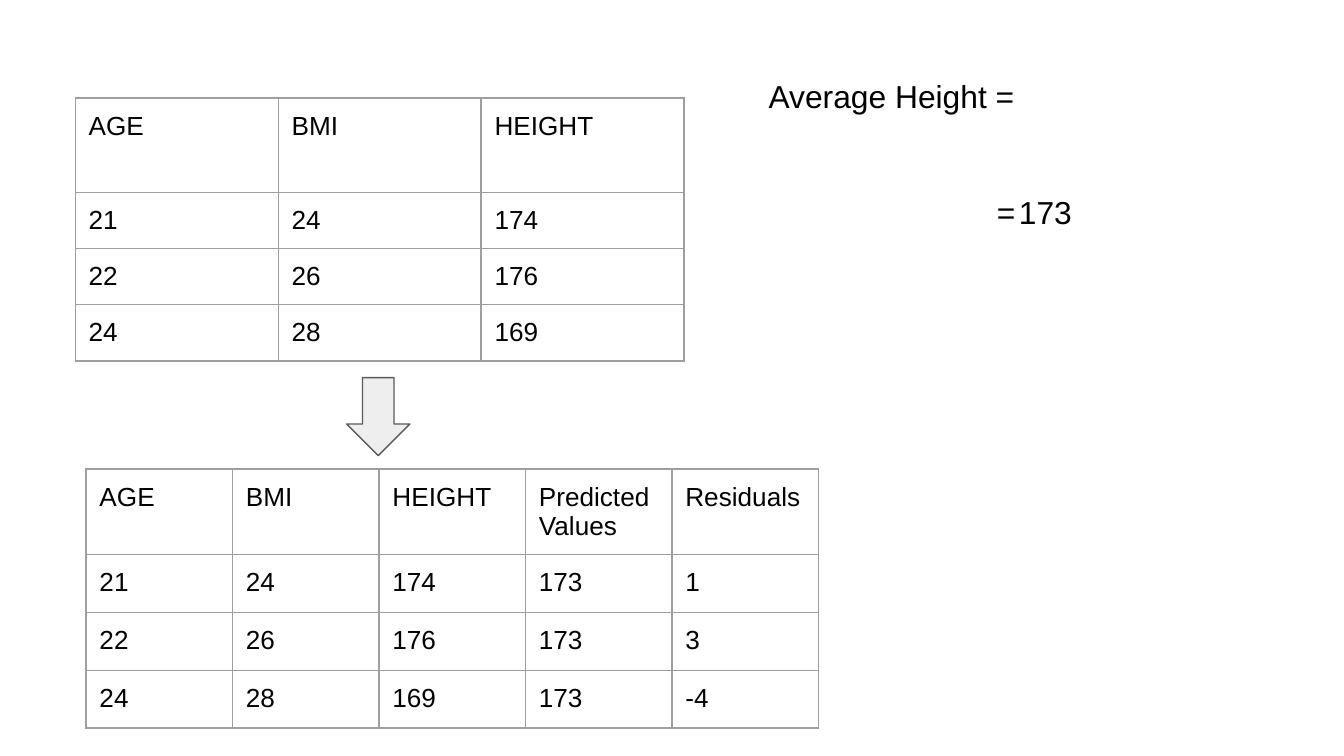
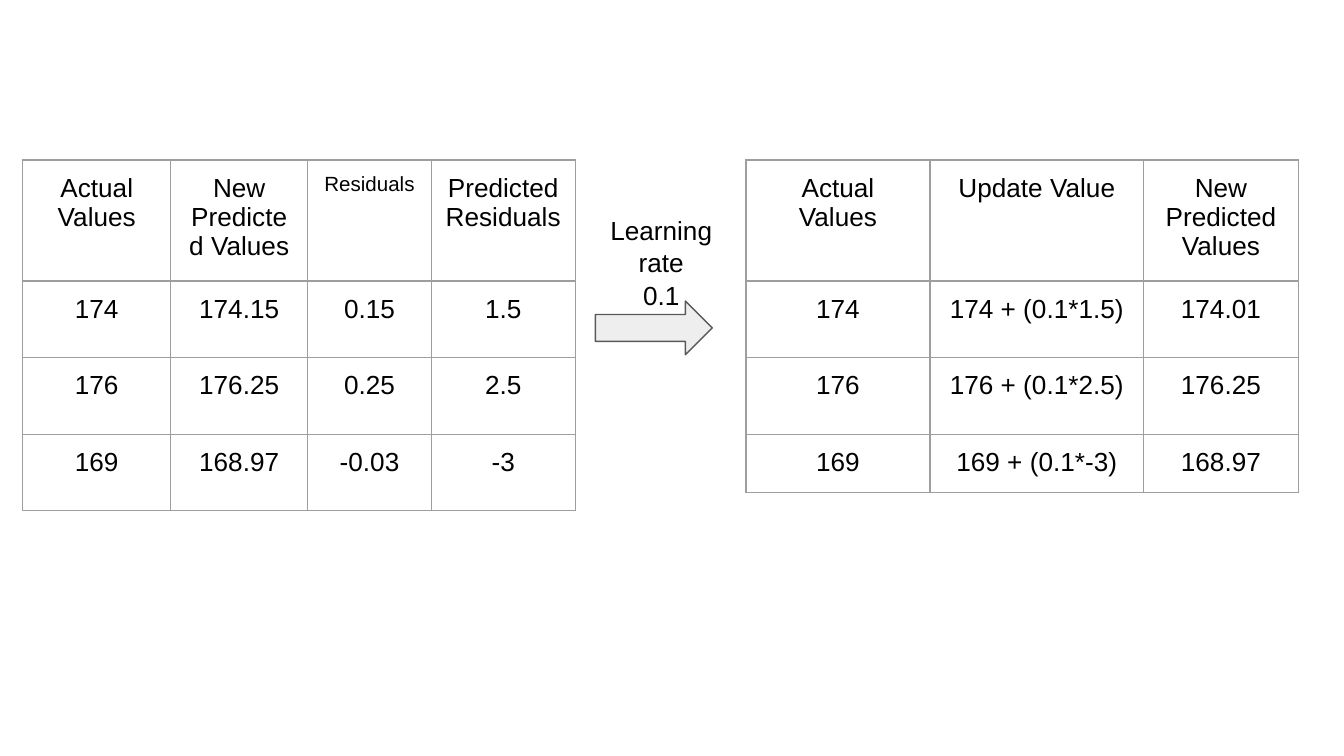
from lxml.etree import SubElement
from pptx import Presentation
from pptx.dml.color import RGBColor
from pptx.enum.shapes import MSO_SHAPE
from pptx.enum.text import PP_ALIGN
from pptx.oxml.ns import qn
from pptx.util import Pt

# Shared look: 100 px to the inch
PX = 9144
MARGIN = 10 * PX
FONT = "Arial"
BODY_SIZE = 14
COLORS = {"text": "000000", "border": "9E9E9E", "arrow": "EEEEEE", "outline": "595959"}


def write_text(frame, lines, size=BODY_SIZE, align=PP_ALIGN.LEFT):
    """Set the margins and write one paragraph per line."""
    frame.margin_left = frame.margin_right = MARGIN
    frame.margin_top = frame.margin_bottom = MARGIN
    frame.word_wrap = True
    for index, line in enumerate(lines):
        para = frame.add_paragraph() if index else frame.paragraphs[0]
        para.alignment = align
        span = para.add_run()
        span.text = line
        span.font.name = FONT
        span.font.size = Pt(size)
        span.font.color.rgb = RGBColor.from_string(COLORS["text"])


def add_grid(page, left, top, widths, heights, rows, align, small=()):
    """Add a plain table with thin borders; words in small are set smaller."""
    frame = page.shapes.add_table(len(rows), len(widths), left * PX, top * PX,
                                  sum(widths) * PX, sum(heights) * PX)
    table = frame.table
    table.first_row = table.horz_banding = False
    for column, width in zip(table.columns, widths):
        column.width = width * PX
    for row, height, values in zip(table.rows, heights, rows):
        row.height = height * PX
        for cell, value in zip(row.cells, values):
            write_text(cell.text_frame, value.split("\n"),
                       11 if value in small else BODY_SIZE, align)
            cell.margin_left = cell.margin_right = MARGIN
            cell.margin_top = cell.margin_bottom = MARGIN
            properties = cell._tc.get_or_add_tcPr()
            for side in ("a:lnL", "a:lnR", "a:lnT", "a:lnB"):
                line = SubElement(properties, qn(side), w=str(Pt(0.75)))
                fill = SubElement(line, qn("a:solidFill"))
                SubElement(fill, qn("a:srgbClr"), val=COLORS["border"])
            cell.fill.background()


deck = Presentation()
deck.slide_width = 1000 * PX
deck.slide_height = deck.slide_width * 9 // 16
residual_page, update_page = [deck.slides.add_slide(deck.slide_layouts[6]) for _ in range(2)]

# Slide 1: the data, then the data with predictions and residuals
people = [("21", "24", "174"), ("22", "26", "176"), ("24", "28", "169")]
headings = ("AGE", "BMI", "HEIGHT")
average = "173"
residuals = ("1", "3", "-4")

add_grid(residual_page, 56, 73, [151] * 3, [70] + [40] * 3,
         [headings, *people], PP_ALIGN.LEFT)
add_grid(residual_page, 64, 349, [109] * 5, [40] + [43] * 3,
         [headings + ("Predicted Values", "Residuals")]
         + [person + (average, residual) for person, residual in zip(people, residuals)],
         PP_ALIGN.LEFT)

# Average height, with the result on a hanging indent
box = residual_page.shapes.add_textbox(562 * PX, 47 * PX, 376 * PX, 139 * PX)
write_text(box.text_frame, ["Average Height =", f"=\t{average}"], size=17)
result = box.text_frame.paragraphs[1]
result.space_before = Pt(42)
indents = result._p.get_or_add_pPr()
indents.set("marL", str(197 * PX))
indents.set("indent", str(-27 * PX))

# Slide 2: predicted residuals update the predicted values
add_grid(update_page, 17, 119, [110, 102, 92, 107], [79] + [57] * 3,
         [("Actual Values", "New Predicted Values", "Residuals", "Predicted\nResiduals"),
          ("174", "174.15", "0.15", "1.5"),
          ("176", "176.25", "0.25", "2.5"),
          ("169", "168.97", "-0.03", "-3")],
         PP_ALIGN.CENTER, small=("Residuals",))
add_grid(update_page, 555, 119, [137, 159, 115], [79, 57, 57, 41],
         [("Actual Values", "Update Value", "New Predicted Values"),
          ("174", "174 + (0.1*1.5)", "174.01"),
          ("176", "176 + (0.1*2.5)", "176.25"),
          ("169", "169 + (0.1*-3)", "168.97")],
         PP_ALIGN.CENTER)

# Arrows between the tables
for page, kind, left, top, width, height in [
    (residual_page, MSO_SHAPE.DOWN_ARROW, 258, 281, 47, 58),
    (update_page, MSO_SHAPE.RIGHT_ARROW, 443, 224, 87, 40),
]:
    arrow = page.shapes.add_shape(kind, left * PX, top * PX, width * PX, height * PX)
    arrow.shadow.inherit = False
    arrow.fill.solid()
    arrow.fill.fore_color.rgb = RGBColor.from_string(COLORS["arrow"])
    arrow.line.color.rgb = RGBColor.from_string(COLORS["outline"])
    arrow.line.width = Pt(0.75)

# Learning rate above the right arrow
box = update_page.shapes.add_textbox(441 * PX, 148 * PX, 102 * PX, 98 * PX)
write_text(box.text_frame, ["Learning rate", "0.1"], align=PP_ALIGN.CENTER)
for para in box.text_frame.paragraphs:
    para.line_spacing = 1.05

deck.save("out.pptx")
